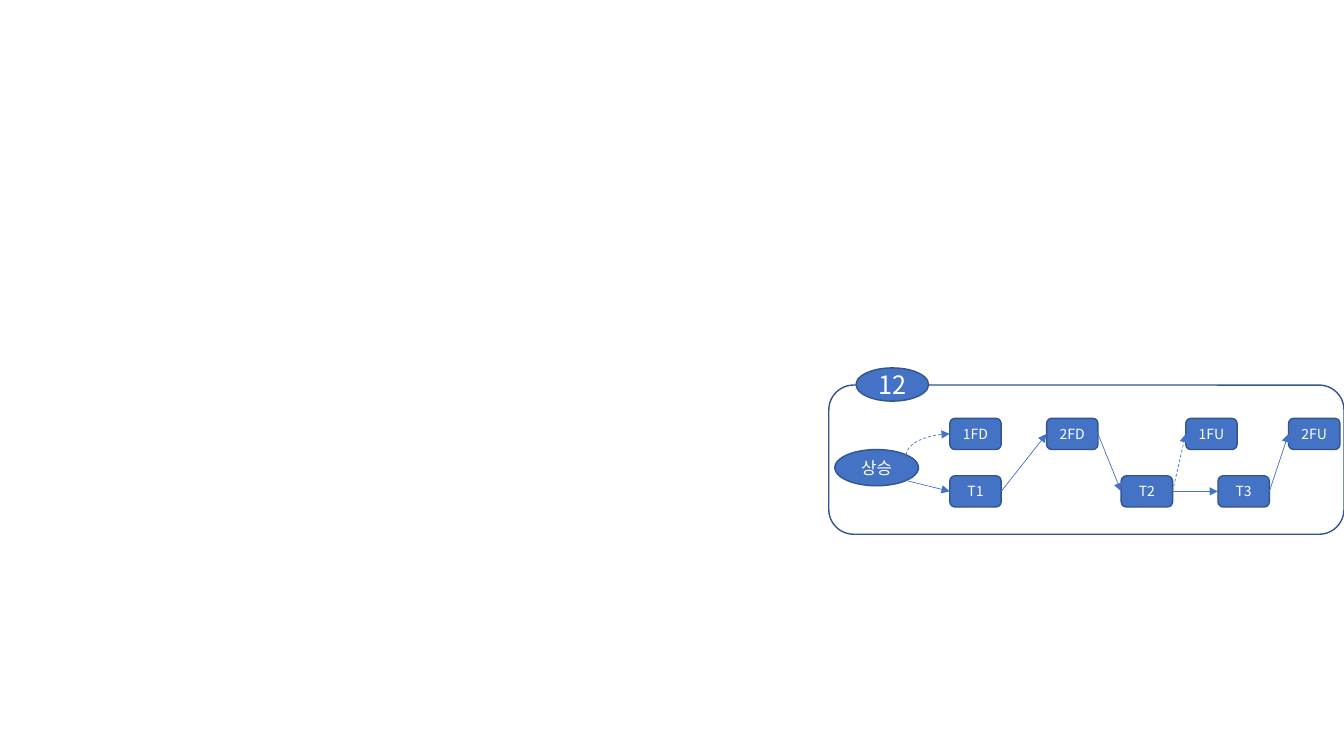
import math
import pptx
import pptx.util
import pptx.dml.color
import pptx.enum.dml
import pptx.enum.shapes
import pptx.enum.text
import pptx.oxml
import pptx.oxml.ns

HEX = {"fill": "4472C4", "edge": "325491", "text": "FFFFFF"}
FONT = "Noto Sans CJK KR"
KIND = pptx.enum.shapes.MSO_SHAPE
LINK = pptx.enum.shapes.MSO_CONNECTOR
INCH = pptx.util.Inches
BOX_W, BOX_H = 0.51, 0.31
ROWS = {"high": 4.15, "low": 4.72}
NODES = {
    "1FD": (9.42, "high"), "2FD": (10.38, "high"), "1FU": (11.76, "high"),
    "2FU": (12.78, "high"), "T1": (9.42, "low"), "T2": (11.12, "low"),
    "T3": (12.08, "low"),
}
LINKS = [("T1", "2FD", False), ("2FD", "T2", False), ("T2", "1FU", True),
         ("T2", "T3", False), ("T3", "2FU", False)]
RISE = (8.28, 4.46, 0.83, 0.36)


def color(name):
    """Return a named colour."""
    return pptx.dml.color.RGBColor.from_string(HEX[name])


def add_sub(parent, tag, **attrs):
    """Append a drawing element to a parent."""
    item = pptx.oxml.parse_xml(f"<a:{tag} {pptx.oxml.ns.nsdecls('a')}/>")
    for key, value in attrs.items():
        item.set(key, value)
    parent.append(item)


def add_form(slide, kind, place, text="", size=10, filled=True):
    """Add an outlined shape with optional fill and centred text."""
    form = slide.shapes.add_shape(kind, *map(INCH, place))
    form.shadow.inherit = False
    form.line.color.rgb = color("edge")
    form.line.width = pptx.util.Pt(1)
    if filled:
        form.fill.solid()
        form.fill.fore_color.rgb = color("fill")
    else:
        form.fill.background()
    if text:
        frame = form.text_frame
        frame.margin_left = frame.margin_right = 0
        frame.margin_top = frame.margin_bottom = 0
        frame.vertical_anchor = pptx.enum.text.MSO_ANCHOR.MIDDLE
        line = frame.paragraphs[0]
        line.alignment = pptx.enum.text.PP_ALIGN.CENTER
        run = line.add_run()
        run.text = text
        run.font.size = pptx.util.Pt(size)
        run.font.name = FONT
        run.font.color.rgb = color("text")
        add_sub(run.font._element, "ea", typeface=FONT)
    return form


def add_arrow(slide, start, end, dashed=False, kind=LINK.STRAIGHT):
    """Add a thin arrow between two points."""
    arrow = slide.shapes.add_connector(kind, *map(INCH, (*start, *end)))
    arrow.line.color.rgb = color("fill")
    arrow.line.width = pptx.util.Pt(0.5)
    if dashed:
        arrow.line.dash_style = pptx.enum.dml.MSO_LINE.DASH
    add_sub(arrow.line._get_or_add_ln(), "tailEnd", type="triangle")
    add_sub(arrow._element.spPr, "effectLst")
    return arrow


def add_curve(slide, start, end):
    """Add a dashed arrow that leaves upward and bends to the right."""
    mid_x, mid_y = ((a + b) / 2 for a, b in zip(start, end))
    half_w, half_h = (start[1] - end[1]) / 2, (end[0] - start[0]) / 2
    arrow = add_arrow(slide, (mid_x + half_w, mid_y + half_h),
                      (mid_x - half_w, mid_y - half_h), True, LINK.CURVE)
    props = arrow._element.spPr
    props.find(pptx.oxml.ns.qn("a:xfrm")).set("rot", "5400000")
    props.find(pptx.oxml.ns.qn("a:prstGeom")).set("prst", "curvedConnector2")
    return arrow


def main():
    """Build the slide and save it."""
    deck = pptx.Presentation()
    deck.slide_width, deck.slide_height = INCH(13.33), INCH(7.5)
    slide = deck.slides.add_slide(deck.slide_layouts[6])

    add_form(slide, KIND.ROUNDED_RECTANGLE, (8.22, 3.82, 5.11, 1.48),
             filled=False)
    add_form(slide, KIND.OVAL, RISE, "상승", 12)
    boxes = {}
    for name, (left, row) in NODES.items():
        place = (left, ROWS[row], BOX_W, BOX_H)
        boxes[name] = add_form(slide, KIND.ROUNDED_RECTANGLE, place, name)

    for first, last, dashed in LINKS:
        arrow = add_arrow(slide, (0, 0), (1, 1), dashed)
        arrow.begin_connect(boxes[first], 3)
        arrow.end_connect(boxes[last], 1)

    left, top, width, height = RISE
    edge_x = left + width / 2 * (1 + math.sqrt(0.5))
    edge_y = height / 2 * math.sqrt(0.5)
    mid_y = top + height / 2
    goal = NODES["T1"][0]
    add_curve(slide, (edge_x, mid_y - edge_y),
              (goal, ROWS["high"] + BOX_H / 2))
    arrow = add_arrow(slide, (edge_x, mid_y + edge_y), (goal, ROWS["low"]))
    arrow.end_connect(boxes["T1"], 1)

    add_form(slide, KIND.OVAL, (8.49, 3.65, 0.72, 0.33), "12", 18)
    deck.save("out.pptx")


if __name__ == "__main__":
    main()
